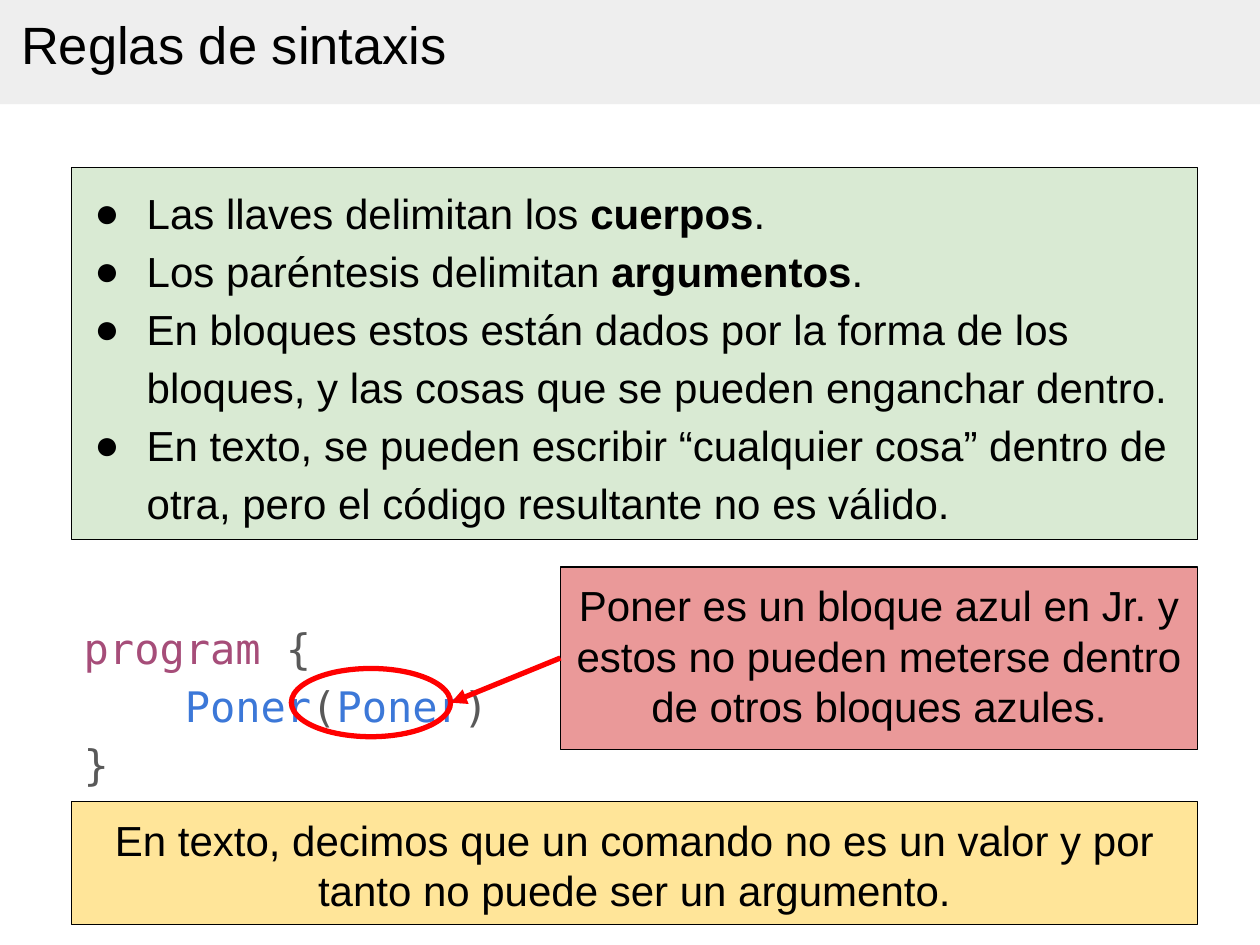
import pptx
import pptx.util
import pptx.dml.color
import pptx.enum.shapes
import pptx.enum.text
import pptx.oxml.ns
import lxml.etree

Pt = pptx.util.Pt
RGBColor = pptx.dml.color.RGBColor
SHAPES = pptx.enum.shapes.MSO_SHAPE
ANCHOR = pptx.enum.text.MSO_ANCHOR
ALIGN = pptx.enum.text.PP_ALIGN
qn = pptx.oxml.ns.qn

BLACK = RGBColor(0x00, 0x00, 0x00)
HEADER_GRAY = RGBColor(0xEE, 0xEE, 0xEE)
GREEN = RGBColor(0xD9, 0xEA, 0xD3)
PINK = RGBColor(0xEA, 0x99, 0x99)
YELLOW = RGBColor(0xFF, 0xE5, 0x99)
RED = RGBColor(0xFF, 0x00, 0x00)
KEYWORD = RGBColor(0xA6, 0x4D, 0x79)
COMMAND = RGBColor(0x3C, 0x78, 0xD8)
SYMBOL = RGBColor(0x59, 0x59, 0x59)


def add_shape(kind, left, top, width, height, fill=None, line=None, weight=0.75):
    shape = slide.shapes.add_shape(kind, Pt(left), Pt(top), Pt(width), Pt(height))
    shape.shadow.inherit = False
    if fill is None:
        shape.fill.background()
    else:
        shape.fill.solid()
        shape.fill.fore_color.rgb = fill
    if line is None:
        shape.line.fill.background()
    else:
        shape.line.color.rgb = line
        shape.line.width = Pt(weight)
    return shape


def write_text(shape, lines, font="Arial", size=24, align=ALIGN.LEFT,
               anchor=ANCHOR.TOP, spacing=1.0, bullet=None):
    """Each line is a list of (text, colour, bold) runs."""
    frame = shape.text_frame
    frame.word_wrap = True
    frame.vertical_anchor = anchor
    frame.margin_left = frame.margin_right = Pt(7.2)
    frame.margin_top = frame.margin_bottom = Pt(7.2)
    for index, line in enumerate(lines):
        paragraph = frame.add_paragraph() if index else frame.paragraphs[0]
        if bullet:
            properties = paragraph._p.get_or_add_pPr()
            properties.set("marL", str(Pt(36)))
            properties.set("indent", str(-Pt(30)))
            lxml.etree.SubElement(properties, qn("a:buFont")).set("typeface", "Arial")
            lxml.etree.SubElement(properties, qn("a:buChar")).set("char", bullet)
        paragraph.alignment = align
        paragraph.line_spacing = spacing
        for text, color, bold in line:
            run = paragraph.add_run()
            run.text = text
            run.font.name = font
            run.font.size = Pt(size)
            run.font.bold = bold
            run.font.color.rgb = color


presentation = pptx.Presentation()
presentation.slide_width = Pt(720)
presentation.slide_height = Pt(540)
slide = presentation.slides.add_slide(presentation.slide_layouts[6])

# Header band and title
add_shape(SHAPES.RECTANGLE, 0, 0, 720, 59.5, HEADER_GRAY)
title = slide.shapes.add_textbox(Pt(5), Pt(-3), Pt(554), Pt(55.5))
write_text(title, [[("Reglas de sintaxis", BLACK, False)]], size=30, anchor=ANCHOR.MIDDLE)

# Syntax rules
rules = [
    [("Las llaves delimitan los ", BLACK, False), ("cuerpos", BLACK, True), (".", BLACK, False)],
    [("Los paréntesis delimitan ", BLACK, False), ("argumentos", BLACK, True), (".", BLACK, False)],
    [("En bloques estos están dados por la forma de los bloques, "
      "y las cosas que se pueden enganchar dentro.", BLACK, False)],
    [("En texto, se pueden escribir “cualquier cosa” dentro de otra, "
      "pero el código resultante no es válido.", BLACK, False)],
]
rules_box = add_shape(SHAPES.RECTANGLE, 40.75, 95.75, 643.5, 212.75, GREEN, BLACK)
write_text(rules_box, rules, spacing=1.15, bullet="●")

# Code sample
code = [
    [("program", KEYWORD, False), (" {", SYMBOL, False)],
    [("    Poner", COMMAND, False), ("(", SYMBOL, False),
     ("Poner", COMMAND, False), (")", SYMBOL, False)],
    [("}", SYMBOL, False)],
]
code_box = slide.shapes.add_textbox(Pt(40.75), Pt(344), Pt(261.5), Pt(126))
write_text(code_box, code, font="DejaVu Sans Mono", spacing=1.15)

# Circle around the wrong argument
add_shape(SHAPES.OVAL, 166.5, 382, 91, 39, line=RED, weight=3)

# Explanation and conclusion boxes
notes = [
    (318, 324, 364.5 + 1.75, 104.5, PINK,
     "Poner es un bloque azul en Jr. y estos no pueden meterse dentro de otros bloques azules."),
    (40.75, 458, 643.5, 70.5, YELLOW,
     "En texto, decimos que un comando no es un valor y por tanto no puede ser un argumento."),
]
notes[0] = (320.25, 324, 364, 104.5) + notes[0][4:]
for left, top, width, height, fill, text in notes:
    note = add_shape(SHAPES.RECTANGLE, left, top, width, height, fill, BLACK)
    write_text(note, [[(text, BLACK, False)]], align=ALIGN.CENTER)

# Arrow from the explanation to the circle
arrow = slide.shapes.add_connector(
    pptx.enum.shapes.MSO_CONNECTOR.STRAIGHT, Pt(320.25), Pt(376), Pt(257.75), Pt(401.5))
arrow.line.color.rgb = RED
arrow.line.width = Pt(3)
lxml.etree.SubElement(arrow.line._get_or_add_ln(), qn("a:tailEnd")).set("type", "triangle")
lxml.etree.SubElement(arrow._element.spPr, qn("a:effectLst"))

presentation.save("out.pptx")
